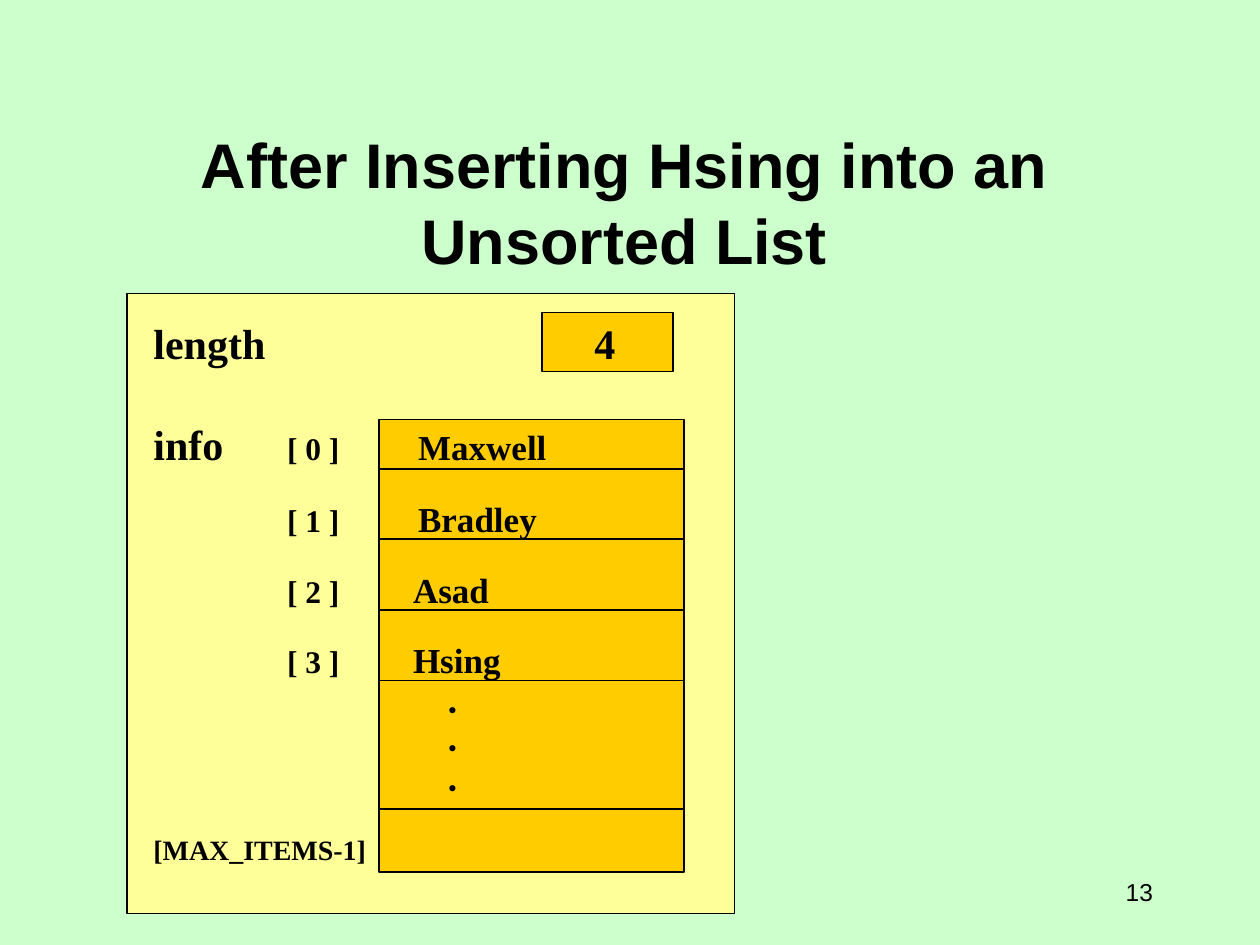
import pptx
import pptx.dml.color
import pptx.enum.shapes
import pptx.enum.text
import pptx.oxml
import pptx.oxml.ns
import pptx.util
from pptx.util import Inches

BLACK = "000000"
MINT = "CCFFCC"
PALE_YELLOW = "FFFF99"
GOLD = "FFCC00"
SERIF = "Times New Roman"

INDEX_TAB, DOT_TAB, LENGTH_TAB = 1.06, 2.34, 3.5


def rgb(value):
    return pptx.dml.color.RGBColor.from_string(value)


def format_font(font, size, name=SERIF, bold=True):
    values = {"size": pptx.util.Pt(size), "name": name, "bold": bold}
    for attribute, value in values.items():
        setattr(font, attribute, value)
    font.color.rgb = rgb(BLACK)


def set_frame(frame, anchor, wrap=True):
    values = {
        "word_wrap": wrap,
        "auto_size": pptx.enum.text.MSO_AUTO_SIZE.NONE,
        "vertical_anchor": anchor,
    }
    for attribute, value in values.items():
        setattr(frame, attribute, value)


def set_tabs(paragraph, positions):
    """Give the paragraph left tab stops, in inches from the text edge."""
    tab_list = pptx.oxml.parse_xml(
        '<a:tabLst %s/>' % pptx.oxml.ns.nsdecls("a"))
    for position in positions:
        tab = tab_list.makeelement(pptx.oxml.ns.qn("a:tab"), {
            "pos": str(int(Inches(position))), "algn": "l"})
        tab_list.append(tab)
    paragraph._p.get_or_add_pPr().append(tab_list)


def add_title(slide, text):
    title = slide.shapes.title
    title.left, title.top = Inches(0.08), Inches(1.33)
    title.width, title.height = Inches(9.75), Inches(0.92)
    set_frame(title.text_frame, pptx.enum.text.MSO_ANCHOR.BOTTOM)
    title.text_frame.text = text
    paragraph = title.text_frame.paragraphs[0]
    paragraph.alignment = pptx.enum.text.PP_ALIGN.CENTER
    for run in paragraph.runs:
        format_font(run.font, 36, "Arial")


def add_box(slide, left, top, width, height, fill):
    box = slide.shapes.add_shape(
        pptx.enum.shapes.MSO_SHAPE.RECTANGLE,
        Inches(left), Inches(top), Inches(width), Inches(height))
    box.shadow.inherit = False
    box.fill.solid()
    box.fill.fore_color.rgb = rgb(fill)
    box.line.color.rgb = rgb(BLACK)
    box.line.width = pptx.util.Pt(1)


def add_divider(slide, y):
    divider = slide.shapes.add_connector(
        pptx.enum.shapes.MSO_CONNECTOR.STRAIGHT,
        Inches(3), Inches(y), Inches(5.43), Inches(y))
    divider.line.color.rgb = rgb(BLACK)
    divider.line.width = pptx.util.Pt(1)
    divider._element.spPr.append(pptx.oxml.parse_xml(
        '<a:effectLst %s/>' % pptx.oxml.ns.nsdecls("a")))


def add_list_text(slide, rows):
    """Each row is space before, tab stops, and (text, size[, font]) runs."""
    box = slide.shapes.add_textbox(
        Inches(1.12), Inches(2.47), Inches(3.87), Inches(4.7))
    frame = box.text_frame
    set_frame(frame, pptx.enum.text.MSO_ANCHOR.TOP)
    for number, (space, tabs, pieces) in enumerate(rows):
        paragraph = frame.add_paragraph() if number else frame.paragraphs[0]
        set_tabs(paragraph, tabs)
        if space:
            paragraph.space_before = pptx.util.Pt(space)
        for text, *style in pieces:
            run = paragraph.add_run()
            run.text = text
            format_font(run.font, *style)


def add_slide_number(slide, text):
    box = slide.shapes.add_textbox(
        Inches(8.58), Inches(6.83), Inches(0.67), Inches(0.5))
    set_frame(box.text_frame, pptx.enum.text.MSO_ANCHOR.MIDDLE, wrap=False)
    paragraph = box.text_frame.paragraphs[0]
    paragraph.alignment = pptx.enum.text.PP_ALIGN.RIGHT
    run = paragraph.add_run()
    run.text = text
    format_font(run.font, 14, "Arial", False)


def main():
    deck = pptx.Presentation()
    deck.slide_width, deck.slide_height = Inches(10), Inches(7.5)
    slide = deck.slides.add_slide(deck.slide_layouts[5])
    slide.background.fill.solid()
    slide.background.fill.fore_color.rgb = rgb(MINT)

    add_title(slide, "After Inserting Hsing into an\vUnsorted List")
    add_box(slide, 1.01, 2.33, 4.82, 4.92, PALE_YELLOW)
    add_box(slide, 4.3, 2.48, 1.04, 0.47, GOLD)
    add_box(slide, 3.01, 3.33, 2.42, 3.59, GOLD)
    for y in [3.72 + 0.56 * row for row in range(4)] + [6.42]:
        add_divider(slide, y)

    rows = [
        (0, [LENGTH_TAB], [("length\t4", 24)]),
        (29, [INDEX_TAB, 2.1],
         [("info", 24), ("\t[ 0 ]\t", 18), ("Maxwell", 20)]),
    ]
    items = [("Bradley", 2.1), ("Asad", 2.06), ("Hsing", 2.06)]
    for index, (name, name_tab) in enumerate(items, start=1):
        rows.append((16.3, [INDEX_TAB, name_tab],
                     [(f"\t[ {index} ]\t", 18), (name, 20)]))
    for space in (1, 0, 1):
        rows.append((space, [DOT_TAB], [("\t.", 18, "Montserrat")]))
    rows.append((20, [], [("[MAX_ITEMS-1]", 16)]))
    add_list_text(slide, rows)

    add_slide_number(slide, "13")
    deck.save("out.pptx")


if __name__ == "__main__":
    main()
